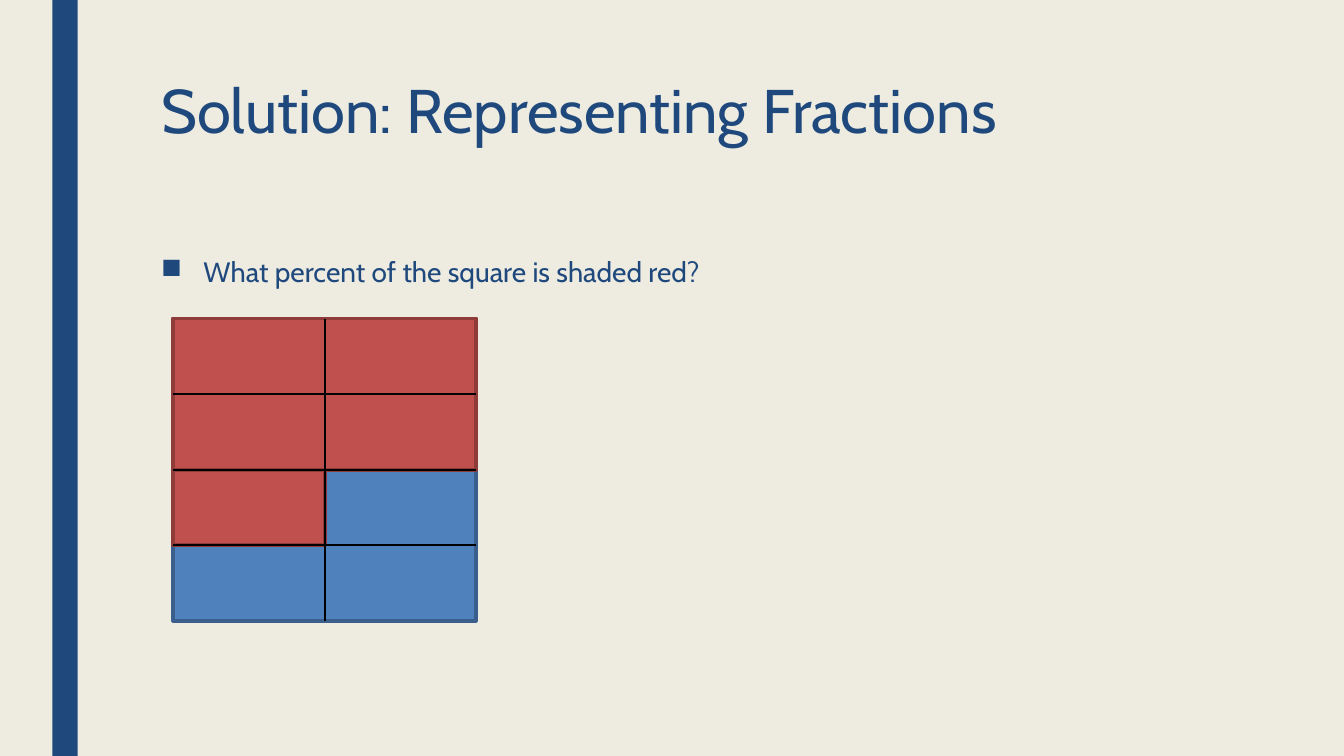
from lxml import etree
from pptx import Presentation
from pptx.dml.color import RGBColor
from pptx.enum.shapes import MSO_CONNECTOR as Connector, MSO_SHAPE as Shape
from pptx.enum.text import MSO_ANCHOR as Anchor
from pptx.oxml.ns import qn
from pptx.util import Inches, Pt

TITLE = "Solution: Representing Fractions"
QUESTION = "What percent of the square is shaded red?"
FONT = "Cabin"
COLORS = {
    "background": "EEECE1", "navy": "1F497D", "grid": "000000",
    "blue": "4F81BD", "blue edge": "3A5F8C",
    "red": "C0504D", "red edge": "8E3B39",
}

# The square, in inches and cells
LEFT, TOP, SIDE = 1.72, 3.16, 3
ROWS, COLUMNS = 4, 2
# first row, columns wide, rows high, colour
REGIONS = [(0, 2, 4, "blue"), (0, 2, 2, "red"), (2, 1, 1, "red")]


def color(name):
    return RGBColor.from_string(COLORS[name])


def add_rectangle(slide, box, fill, edge=None):
    rectangle = slide.shapes.add_shape(Shape.RECTANGLE, *map(Inches, box))
    rectangle.shadow.inherit = False
    rectangle.fill.solid()
    rectangle.fill.fore_color.rgb = color(fill)
    if edge:
        rectangle.line.color.rgb = color(edge)
        rectangle.line.width = Pt(2.75)
    else:
        rectangle.line.fill.background()


def add_text(slide, box, text, size, spacing, bullet=False):
    frame = slide.shapes.add_textbox(*map(Inches, box)).text_frame
    frame.word_wrap = True
    frame.vertical_anchor = Anchor.TOP
    paragraph = frame.paragraphs[0]
    paragraph.text = text
    paragraph.line_spacing = spacing
    if bullet:
        properties = paragraph._p.get_or_add_pPr()
        indent = Inches(0.42)
        properties.set("marL", str(indent))
        properties.set("indent", str(-indent))
        etree.SubElement(properties, qn("a:buChar")).set("char", "■")
    paragraph.font.name = FONT
    paragraph.font.size = Pt(size)
    paragraph.font.color.rgb = color("navy")


def add_grid_line(slide, x1, y1, x2, y2):
    line = slide.shapes.add_connector(
        Connector.STRAIGHT, *map(Inches, (x1, y1, x2, y2)))
    line.line.color.rgb = color("grid")
    line.line.width = Pt(1.5)
    etree.SubElement(line._element.spPr, qn("a:effectLst"))


def add_square(slide):
    width, height = SIDE / COLUMNS, SIDE / ROWS
    for row, columns, rows, name in REGIONS:
        box = (LEFT, TOP + row * height, columns * width, rows * height)
        add_rectangle(slide, box, name, f"{name} edge")
    for column in range(1, COLUMNS):
        x = LEFT + column * width
        add_grid_line(slide, x, TOP, x, TOP + SIDE)
    for row in range(1, ROWS):
        y = TOP + row * height
        add_grid_line(slide, LEFT, y, LEFT + SIDE, y)


def main():
    deck = Presentation()
    deck.slide_width, deck.slide_height = Inches(13.33), Inches(7.5)
    slide = deck.slides.add_slide(deck.slide_layouts[6])
    slide.background.fill.solid()
    slide.background.fill.fore_color.rgb = color("background")
    add_rectangle(slide, (0.52, 0, 0.25, 7.5), "navy")
    add_text(slide, (1.5, 0.75, 10.5, 1.62), TITLE, 44, 0.89)
    add_text(slide, (1.5, 2.5, 10.5, 3.92), QUESTION, 20, 0.94, bullet=True)
    add_square(slide)
    deck.save("out.pptx")


if __name__ == "__main__":
    main()
